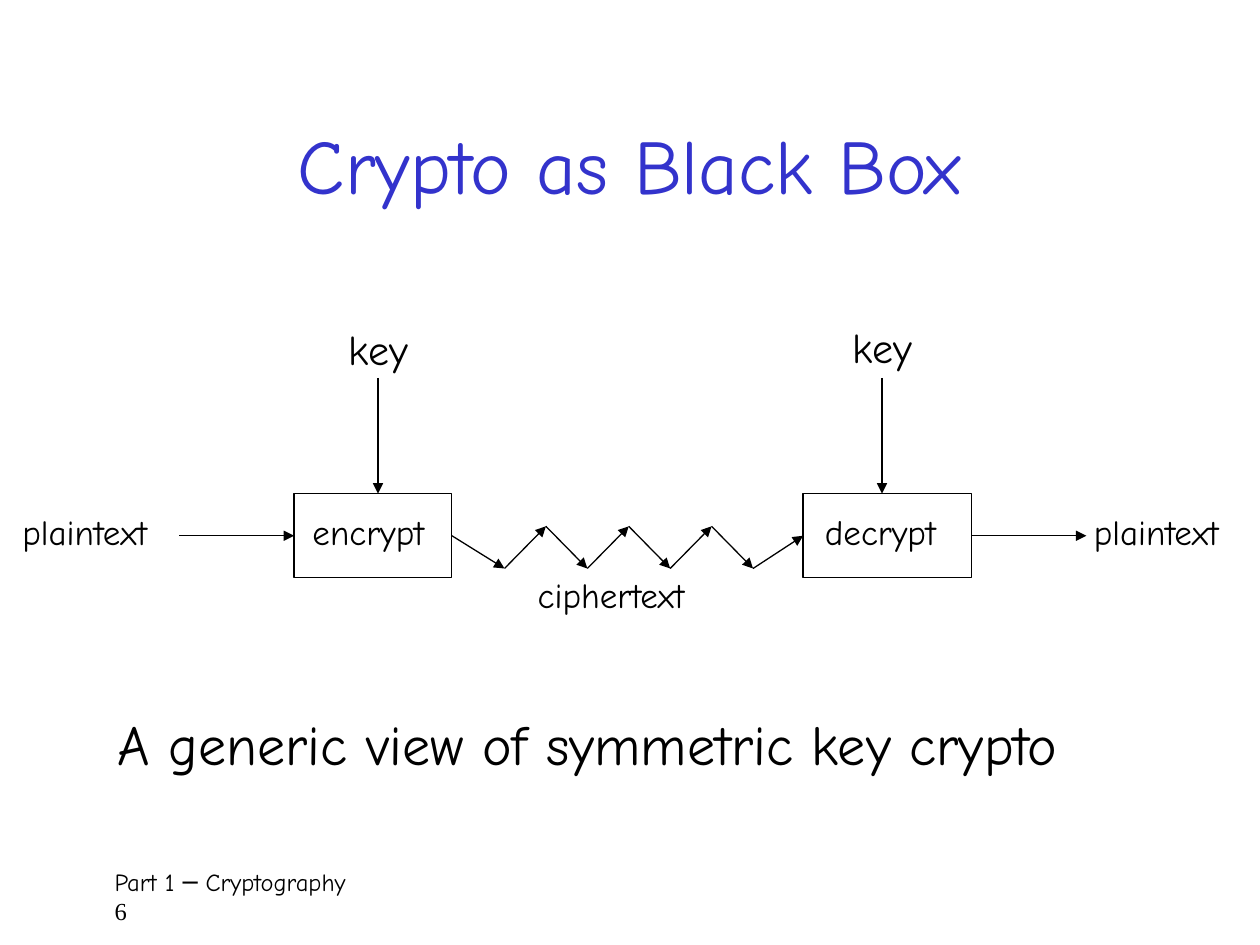
from itertools import pairwise

from lxml.etree import SubElement
from pptx import Presentation
from pptx.dml.color import RGBColor
from pptx.enum.shapes import MSO_CONNECTOR, MSO_SHAPE
from pptx.enum.text import MSO_ANCHOR, PP_ALIGN
from pptx.oxml.ns import qn
from pptx.util import Cm, Pt

BLACK = RGBColor(0x00, 0x00, 0x00)
BLUE = RGBColor(0x33, 0x33, 0xCC)
FONT = "Comic Neue"
SERIF = "Times New Roman"


def set_font(p, size, color=BLACK, name=FONT):
    p.font.name = name
    p.font.size = Pt(size)
    p.font.color.rgb = color


def add_label(s, text, left, top, width, height, size, wrap=True):
    sp = s.shapes.add_textbox(Cm(left), Cm(top), Cm(width), Cm(height))
    tf = sp.text_frame
    tf.word_wrap = wrap
    tf.text = text
    set_font(tf.paragraphs[0], size)
    return tf


def add_arrow(s, start, end):
    points = [Cm(v) for v in (*start, *end)]
    line = s.shapes.add_connector(MSO_CONNECTOR.STRAIGHT, *points)
    line.line.color.rgb = BLACK
    line.line.width = Pt(0.75)
    SubElement(line.line._get_or_add_ln(), qn("a:tailEnd"), type="triangle")
    SubElement(line._element.spPr, qn("a:effectLst"))


def add_title(s, left, top, width, height):
    sp = s.shapes.title
    sp.left, sp.top, sp.width, sp.height = Cm(left), Cm(top), Cm(width), Cm(height)
    tf = sp.text_frame
    tf.text = "Crypto as Black Box"
    tf.vertical_anchor = MSO_ANCHOR.MIDDLE
    p = tf.paragraphs[0]
    p.alignment = PP_ALIGN.CENTER
    set_font(p, 44, BLUE)


def add_station(s, left, top, width, label, indent, key_offset, key_drop):
    box_top = top + 3.6
    sp = s.shapes.add_shape(
        MSO_SHAPE.RECTANGLE, Cm(left), Cm(box_top), Cm(width), Cm(1.69))
    sp.shadow.inherit = False
    sp.fill.background()
    sp.line.color.rgb = BLACK
    sp.line.width = Pt(0.75)
    add_label(s, label, left + indent, box_top + 0.22, 3.07, 1.24, 20, wrap=False)
    key_x = left + key_offset
    add_label(s, "key", key_x - 0.84, top + key_drop, 2.3, 1.45, 24)
    add_arrow(s, (key_x, top + 1.27), (key_x, box_top))


def add_channel(s, left, right, axis):
    low, high = axis + 0.66, axis - 0.19
    first, step = left + 1.06, 0.835
    bends = [(first + i * step, high if i % 2 else low) for i in range(7)]
    for start, end in pairwise([(left, axis), *bends, (right, axis)]):
        add_arrow(s, start, end)
    add_label(s, "ciphertext", left + 1.48, axis + 0.63, 4.24, 1.24, 20)


def add_diagram(s, left, top):
    axis = top + 4.45
    encrypt, decrypt = left + 5.73, left + 15.99
    encrypt_end, decrypt_end = encrypt + 3.18, decrypt + 3.39
    add_station(s, encrypt, top, 3.18, "encrypt", 0.12, 1.69, 0.05)
    add_station(s, decrypt, top, 3.39, "decrypt", 0.19, 1.59, 0)
    for x in (left, left + 21.6):
        add_label(s, "plaintext", x, top + 3.82, 3.6, 1.24, 20)
    add_arrow(s, (encrypt - 2.32, axis), (encrypt, axis))
    add_arrow(s, (decrypt_end, axis), (decrypt_end + 2.32, axis))
    add_channel(s, encrypt_end, decrypt, axis)


def add_footer(s, left, top, width, height):
    tf = add_label(s, "Part 1 ─ Cryptography", left, top, width, height, 14)
    tf.margin_left = Cm(0.41)
    p = tf.add_paragraph()
    p.text = "6"
    set_font(p, 14, name=SERIF)


def main():
    prs = Presentation()
    prs.slide_width, prs.slide_height = Cm(25.4), Cm(19.05)
    s = prs.slides.add_slide(prs.slide_layouts[5])
    add_title(s, 1.9, 1.7, 21.6, 3.18)
    add_diagram(s, 0.2, 6.35)
    add_label(s, "A generic view of symmetric key crypto",
              2.12, 14.18, 21.7, 1.63, 32, wrap=False)
    add_footer(s, 1.9, 17.35, 21.8, 1.27)
    prs.save("out.pptx")


main()
